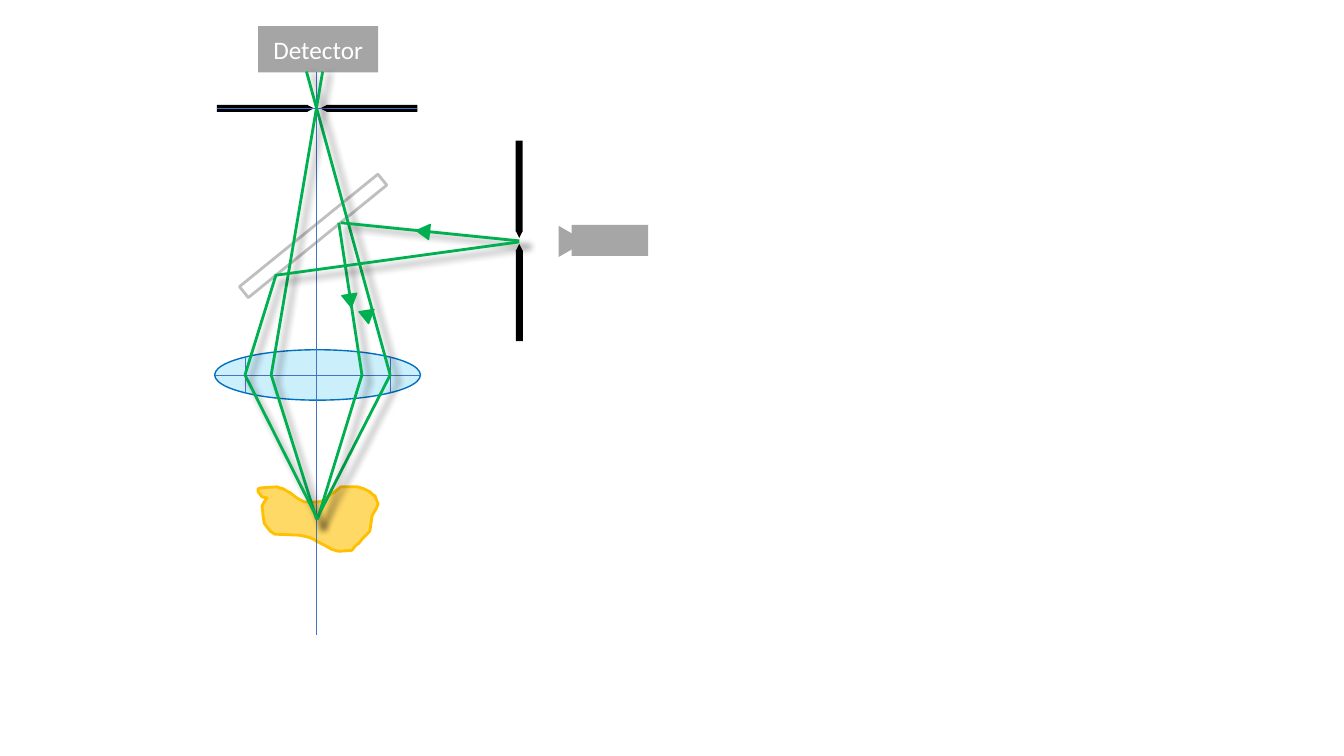
from math import cos, radians, sin

from lxml.etree import SubElement
from pptx import Presentation
from pptx.dml.color import RGBColor
from pptx.enum.shapes import MSO_CONNECTOR, MSO_SHAPE
from pptx.enum.text import MSO_ANCHOR, PP_ALIGN
from pptx.oxml.ns import qn
from pptx.util import Inches, Pt

BLACK = RGBColor(0x00, 0x00, 0x00)
WHITE = RGBColor(0xFF, 0xFF, 0xFF)
GREY = RGBColor(0xA6, 0xA6, 0xA6)
DETECTOR_GREY = RGBColor(0xA5, 0xA5, 0xA5)
MIRROR_GREY = RGBColor(0xBF, 0xBF, 0xBF)
LENS_FILL = RGBColor(0x00, 0xB0, 0xF0)
LENS_EDGE = RGBColor(0x00, 0x70, 0xC0)
AXIS_BLUE = RGBColor(0x44, 0x72, 0xC4)
RAY_GREEN = RGBColor(0x00, 0xB0, 0x50)
SAMPLE_GOLD = RGBColor(0xFF, 0xC0, 0x00)

SAMPLE_OUTLINE = [
    (2.65, 4.94), (2.62, 4.98), (2.6, 5.02), (2.61, 5.12), (2.62, 5.19),
    (2.68, 5.27), (2.71, 5.29), (2.73, 5.3), (2.97, 5.31), (3.06, 5.33),
    (3.09, 5.34), (3.11, 5.35), (3.14, 5.37), (3.16, 5.38), (3.22, 5.41),
    (3.29, 5.45), (3.36, 5.47), (3.49, 5.46), (3.53, 5.41), (3.56, 5.39),
    (3.59, 5.35), (3.64, 5.3), (3.66, 5.28), (3.67, 5.26), (3.69, 5.12),
    (3.7, 5.1), (3.73, 5.05), (3.75, 5.0), (3.73, 4.95), (3.72, 4.92),
    (3.7, 4.91), (3.67, 4.88), (3.61, 4.85), (3.55, 4.83), (3.38, 4.83),
    (3.32, 4.88), (3.27, 4.91), (3.22, 4.95), (3.2, 4.97), (3.15, 4.98),
    (3.02, 4.98), (2.98, 4.96), (2.96, 4.95), (2.93, 4.93), (2.88, 4.89),
    (2.84, 4.87), (2.81, 4.85), (2.77, 4.84), (2.75, 4.83), (2.59, 4.84),
    (2.56, 4.85), (2.56, 4.88), (2.6, 4.93),
]

AXES = [
    (3.14, 0.71, 3.14, 6.3),
    (3.87, 3.54, 3.87, 3.89),
    (2.43, 3.54, 2.43, 3.89),
    (2.13, 3.72, 4.17, 3.72),
    (2.15, 1.08, 4.14, 1.08),
]

RAYS = [
    (3.04, 0.71, 3.87, 3.72),
    (3.2, 0.71, 2.69, 3.72),
    (3.87, 3.72, 3.14, 5.15),
    (2.69, 3.72, 3.14, 5.15),
    (3.59, 3.72, 3.15, 5.15),
    (3.36, 2.21, 3.59, 3.72),
    (5.15, 2.39, 3.38, 2.21),
    (2.43, 3.72, 3.15, 5.15),
    (2.74, 2.72, 2.43, 3.72),
    (5.15, 2.4, 2.74, 2.73),
]

ARROWHEADS = [(4.12, 2.23, 276), (3.4, 2.92, 171), (3.57, 3.08, 171)]


class Diagram:
    text_format = {"name": "Calibri", "size": Pt(18)}
    shadow_format = {"blurRad": "63500", "sx": "102000", "sy": "102000",
                     "algn": "ctr", "rotWithShape": "0"}

    def __init__(self, page):
        self.page = page

    def paint(self, shape, fill, edge=None, weight=1, opacity=100):
        shape.shadow.inherit = False
        shape.fill.solid()
        shape.fill.fore_color.rgb = fill
        if opacity < 100:
            colour = shape.element.spPr.find(qn("a:solidFill"))[0]
            SubElement(colour, qn("a:alpha"), val=str(opacity * 1000))
        if edge is None:
            shape.line.fill.background()
        else:
            shape.line.color.rgb = edge
            shape.line.width = Pt(weight)
        return shape

    def shape(self, kind, left, top, width, height, fill, turn=0, **style):
        box = self.page.shapes.add_shape(
            kind, Inches(left), Inches(top), Inches(width), Inches(height))
        box.rotation = turn
        return self.paint(box, fill, **style)

    def label(self, box, text):
        frame = box.text_frame
        frame.vertical_anchor = MSO_ANCHOR.MIDDLE
        para = frame.paragraphs[0]
        para.alignment = PP_ALIGN.CENTER
        span = para.add_run()
        span.text = text
        for name, value in self.text_format.items():
            setattr(span.font, name, value)
        span.font.color.rgb = WHITE

    def outline(self, points, fill, **style):
        vertices = [(Inches(x), Inches(y)) for x, y in points]
        builder = self.page.shapes.build_freeform(*vertices[0])
        builder.add_line_segments(vertices[1:], close=True)
        return self.paint(builder.convert_to_shape(), fill, **style)

    def line(self, ends, colour, weight, shadow=False):
        connector = self.page.shapes.add_connector(
            MSO_CONNECTOR.STRAIGHT, *[Inches(value) for value in ends])
        connector.line.color.rgb = colour
        connector.line.width = Pt(weight)
        effects = SubElement(connector.element.spPr, qn("a:effectLst"))
        if shadow:
            outer = SubElement(effects, qn("a:outerShdw"), self.shadow_format)
            tint = SubElement(outer, qn("a:srgbClr"), val=str(BLACK))
            SubElement(tint, qn("a:alpha"), val="40000")

    def pinhole(self, center_x, center_y, turns):
        parts = [(MSO_SHAPE.RECTANGLE, 0.9, 0.545, 90),
                 (MSO_SHAPE.ISOSCELES_TRIANGLE, 0.07, 0.065, 0)]
        for turn in turns:
            for kind, width, distance, extra in parts:
                x = center_x - distance * sin(radians(turn))
                y = center_y + distance * cos(radians(turn))
                self.shape(kind, x - width / 2, y - 0.035, width, 0.07, BLACK,
                           (turn + extra) % 360)


def main():
    deck = Presentation()
    deck.slide_width, deck.slide_height = Inches(13.33), Inches(7.5)
    diagram = Diagram(deck.slides.add_slide(deck.slide_layouts[6]))

    diagram.shape(MSO_SHAPE.OVAL, 2.13, 3.47, 2.04, 0.5, LENS_FILL,
                  edge=LENS_EDGE, opacity=20)
    diagram.shape(MSO_SHAPE.RECTANGLE, 5.67, 2.23, 0.76, 0.31, GREY)
    diagram.shape(MSO_SHAPE.ISOSCELES_TRIANGLE, 5.52, 2.26, 0.31, 0.27, GREY, 90)
    diagram.pinhole(5.15, 2.39, (180, 0))
    diagram.pinhole(3.145, 1.075, (270, 90))
    detector = diagram.shape(MSO_SHAPE.RECTANGLE, 2.56, 0.26, 1.19, 0.46,
                             DETECTOR_GREY)
    diagram.label(detector, "Detector")
    diagram.shape(MSO_SHAPE.RECTANGLE, 2.22, 2.27, 1.77, 0.14, WHITE, 140.9,
                  edge=MIRROR_GREY, weight=2)
    diagram.outline(SAMPLE_OUTLINE, SAMPLE_GOLD, edge=SAMPLE_GOLD, weight=2,
                    opacity=60)

    for ends in AXES:
        diagram.line(ends, AXIS_BLUE, 0.5)
    for ends in RAYS:
        diagram.line(ends, RAY_GREEN, 2, shadow=True)
    for left, top, turn in ARROWHEADS:
        diagram.shape(MSO_SHAPE.ISOSCELES_TRIANGLE, left, top, 0.15, 0.13,
                      RAY_GREEN, turn, edge=RAY_GREEN)

    deck.save("out.pptx")


if __name__ == "__main__":
    main()
